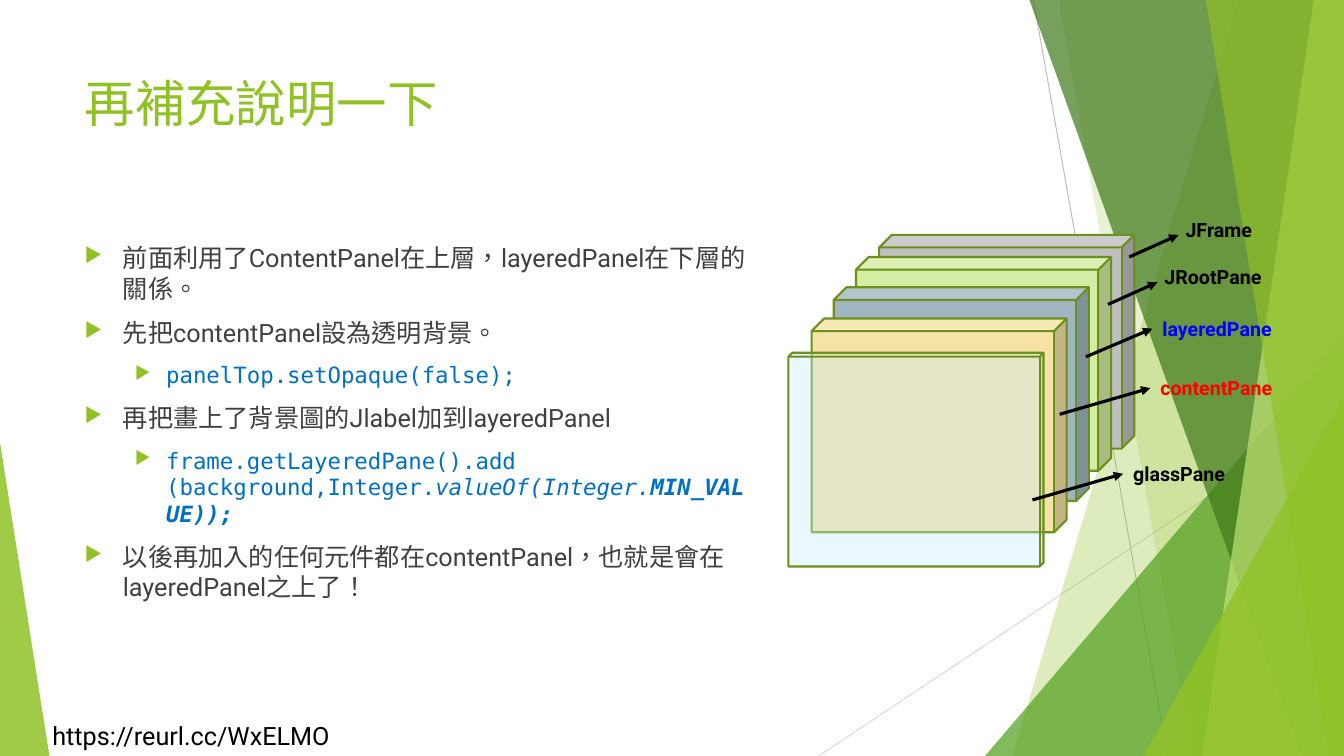
from dataclasses import dataclass

from lxml import etree
from pptx import Presentation
from pptx import util as u
from pptx.dml.color import RGBColor
from pptx.enum import shapes, text
from pptx.oxml.ns import qn

WIDTH, HEIGHT = u.Inches(13.33), u.Inches(7.5)
COLS, ROWS = 133.3, 75
LABEL_ROWS = 3.4
CUBE_COLS, CUBE_ROWS = 25.3, 21.2
SANS, MONO = "Roboto", "DejaVu Sans Mono"

WHITE = RGBColor(0xFF, 0xFF, 0xFF)
BLACK = RGBColor(0, 0, 0)
BLUE = RGBColor(0, 0, 0xFF)
RED = RGBColor(0xFF, 0, 0)
INK = RGBColor(0x40, 0x40, 0x40)
CODE = RGBColor(0x00, 0x70, 0xC0)
LIME = RGBColor(0x90, 0xC2, 0x26)
GREEN = RGBColor(0x54, 0xA0, 0x21)
FOREST = RGBColor(0x3F, 0x78, 0x19)
PALE_LIME = RGBColor(0xC0, 0xE4, 0x74)
EDGE = RGBColor(0x6B, 0x90, 0x1C)
GREY = RGBColor(0xBF, 0xBF, 0xBF)
LIGHT_GREY = RGBColor(0xD9, 0xD9, 0xD9)
ROOT_FILL = RGBColor(0xD5, 0xED, 0xA2)
LAYERED_FILL = RGBColor(0x9F, 0xB6, 0xC0)
CONTENT_FILL = RGBColor(0xF5, 0xE3, 0xA5)
GLASS_FILL = RGBColor(0xCC, 0xEC, 0xFF)


@dataclass
class Band:
    """A full-height band between a slanted left edge and the slide's right edge."""
    top_col: float
    bottom_col: float
    color: RGBColor
    opacity: int


@dataclass
class Corner:
    """A right triangle standing on the slide's bottom edge."""
    col: float
    row: float
    cols: float
    apex: int
    color: RGBColor
    opacity: int


@dataclass
class Pane:
    """One pane of the stack with its label and arrow."""
    name: str
    col: float
    row: float
    fill: RGBColor
    label: tuple[float, float, float]
    arrow: tuple[float, float, float, float]
    color: RGBColor = BLACK
    bevel: float = 0.059
    opacity: int = 100
    wrap: bool = False


@dataclass
class Bullet:
    """A bullet made of (text, bold, italic) pieces."""
    pieces: list[tuple[str, bool, bool]]
    code: bool = False


FACETS = [
    Band(122.8, 100.4, LIME, 30),
    Band(105, 118.3, LIME, 20),
    Corner(97.7, 33.3, 35.6, 1, GREEN, 72),
    Band(102.1, 129.1, FOREST, 70),
    Band(130.3, 119.2, PALE_LIME, 70),
    Band(119.6, 131.8, LIME, 65),
    Corner(113.4, 39.3, 19.9, 1, LIME, 80),
    Corner(0, 43.9, 4.9, 0, LIME, 85),
]

PANES = [
    Pane("JFrame", 87.2, 23.3, GREY, (116.6, 21.1, 8.8), (112, 25.5, 116.9, 23.3)),
    Pane("JRootPane", 84.9, 25.5, ROOT_FILL, (114.5, 25.8, 11.8), (109.9, 30.2, 114.8, 28)),
    Pane("layeredPane", 82.7, 28.5, LAYERED_FILL, (114.3, 30.9, 13.3),
         (107.7, 35.4, 114.3, 32.6), BLUE),
    Pane("contentPane", 80.5, 31.6, CONTENT_FILL, (114.1, 36.8, 13.7),
         (105.1, 41.1, 114.1, 38.5), RED, wrap=True),
    Pane("glassPane", 78.2, 35, GLASS_FILL, (111.4, 45.3, 13.7),
         (102.4, 49.6, 111.4, 47), bevel=0.018, opacity=38, wrap=True),
]

BULLETS = [
    Bullet([("前面利用了ContentPanel在上層，layeredPanel在下層的關係。", False, False)]),
    Bullet([("先把contentPanel設為透明背景。", False, False)]),
    Bullet([("panelTop.setOpaque(false);", False, False)], code=True),
    Bullet([("再把畫上了背景圖的Jlabel加到layeredPanel", False, False)]),
    Bullet([("frame.getLayeredPane().add\v(background,Integer.", False, False),
            ("valueOf(Integer.", False, True),
            ("MIN_VALUE));", True, True)], code=True),
    Bullet([("以後再加入的任何元件都在contentPanel，也就是會在layeredPanel之上了！", False, False)]),
]


def x(cols: float) -> int:
    """Turn grid columns into a length."""
    return round(WIDTH * cols / COLS)


def y(rows: float) -> int:
    """Turn grid rows into a length."""
    return round(HEIGHT * rows / ROWS)


def paint(sp, color: RGBColor, opacity: int) -> None:
    """Fill a shape with a colour of the given opacity and no outline."""
    sp.shadow.inherit = False
    sp.fill.solid()
    sp.fill.fore_color.rgb = color
    sp.line.fill.background()
    if opacity < 100:
        clr = sp.element.spPr.find(".//" + qn("a:srgbClr"))
        etree.SubElement(clr, qn("a:alpha"), val=str(opacity * 1000))


def style(r, size: float, color: RGBColor, bold=False, italic=False, name=SANS) -> None:
    """Format one run."""
    r.font.size, r.font.name = u.Pt(size), name
    r.font.bold, r.font.italic = bold, italic
    r.font.color.rgb = color
    r._r.get_or_add_rPr().set("lang", "zh-TW")


def draw_line(s, ends: tuple, color: RGBColor, width: float, arrow=False) -> None:
    """Draw a straight line, with an arrowhead if asked."""
    x1, y1, x2, y2 = ends
    c = s.shapes.add_connector(shapes.MSO_CONNECTOR.STRAIGHT, x(x1), y(y1), x(x2), y(y2))
    c.line.color.rgb, c.line.width = color, u.Pt(width)
    if arrow:
        etree.SubElement(c.element.spPr.find(qn("a:ln")), qn("a:tailEnd"), type="triangle")
    etree.SubElement(c.element.spPr, qn("a:effectLst"))


def draw_band(s, band: Band) -> None:
    """Draw one slanted band."""
    fb = s.shapes.build_freeform(x(band.top_col), 0)
    fb.add_line_segments([(WIDTH, 0), (WIDTH, HEIGHT), (x(band.bottom_col), HEIGHT)])
    paint(fb.convert_to_shape(), band.color, band.opacity)


def draw_corner(s, corner: Corner) -> None:
    """Draw one corner triangle."""
    sp = s.shapes.add_shape(shapes.MSO_SHAPE.ISOSCELES_TRIANGLE, x(corner.col), y(corner.row),
                            x(corner.cols), y(ROWS - corner.row))
    sp.adjustments[0] = corner.apex
    paint(sp, corner.color, corner.opacity)


def draw_cube(s, pane: Pane) -> None:
    """Draw the slab of one pane."""
    sp = s.shapes.add_shape(shapes.MSO_SHAPE.CUBE, x(pane.col), y(pane.row),
                            x(CUBE_COLS), y(CUBE_ROWS))
    sp.adjustments[0] = pane.bevel
    paint(sp, pane.fill, pane.opacity)
    sp.line.color.rgb, sp.line.width = EDGE, u.Pt(1.5)


def draw_text(s, box: tuple, words: str, size: float, color: RGBColor, bold=False, wrap=False):
    """Draw a one-line text box."""
    left, top, cols, rows = box
    tf = s.shapes.add_textbox(x(left), y(top), x(cols), y(rows)).text_frame
    tf.word_wrap = wrap
    tf.auto_size = text.MSO_AUTO_SIZE.SHAPE_TO_FIT_TEXT
    tf.text = words
    style(tf.paragraphs[0].runs[0], size, color, bold)


def draw_bullets(s, box: tuple, bullets: list[Bullet]) -> None:
    """Draw the bulleted body text."""
    left, top, cols, rows = box
    tf = s.shapes.add_textbox(x(left), y(top), x(cols), y(rows)).text_frame
    tf.word_wrap = True
    for i, b in enumerate(bullets):
        p = tf.add_paragraph() if i else tf.paragraphs[0]
        margin, hang = (8.1, 3.1) if b.code else (3.8, 3.8)
        p.level = int(b.code)
        pPr = p._p.get_or_add_pPr()
        pPr.set("marL", str(x(margin)))
        pPr.set("indent", str(-x(hang)))
        clr = etree.SubElement(pPr, qn("a:buClr"))
        etree.SubElement(clr, qn("a:srgbClr"), val=str(LIME))
        etree.SubElement(pPr, qn("a:buSzPct"), val="80000")
        etree.SubElement(pPr, qn("a:buChar"), char="▶")
        p.space_before = u.Pt(10 if i else 0)
        size, color, name = (16, CODE, MONO) if b.code else (18, INK, SANS)
        for words, bold, italic in b.pieces:
            for j, part in enumerate(words.split("\v")):
                if j:
                    p.add_line_break()
                r = p.add_run()
                r.text = part
                style(r, size, color, bold, italic, name)


def main() -> None:
    """Build the slide and save it."""
    prs = Presentation()
    prs.slide_width, prs.slide_height = WIDTH, HEIGHT
    s = prs.slides.add_slide(prs.slide_layouts[5])
    s.background.fill.solid()
    s.background.fill.fore_color.rgb = WHITE
    draw_line(s, (102.5, 0, 115.8, ROWS), GREY, 0.75)
    draw_line(s, (COLS, 40.3, 81.2, ROWS), LIGHT_GREY, 0.75)
    for facet in FACETS:
        draw_band(s, facet) if isinstance(facet, Band) else draw_corner(s, facet)
    draw_text(s, (4.2, 71, 31.2, 4), "https://reurl.cc/WxELMO", 18, BLACK)

    title = s.shapes.title
    title.left, title.top, title.width, title.height = x(7.4), y(6.7), x(94), y(14.4)
    tf = title.text_frame
    tf.text = "再補充說明一下"
    tf.vertical_anchor = text.MSO_ANCHOR.TOP
    tf.paragraphs[0].alignment = text.PP_ALIGN.LEFT
    style(tf.paragraphs[0].runs[0], 36, LIME)

    draw_bullets(s, (7.4, 23.6, 68.7, 42.4), BULLETS)
    for pane in PANES:
        draw_cube(s, pane)
    for pane in PANES:
        draw_text(s, (*pane.label, LABEL_ROWS), pane.name, 14, pane.color, True, pane.wrap)
        draw_line(s, pane.arrow, BLACK, 2.25, arrow=True)
    prs.save("out.pptx")


if __name__ == "__main__":
    main()
